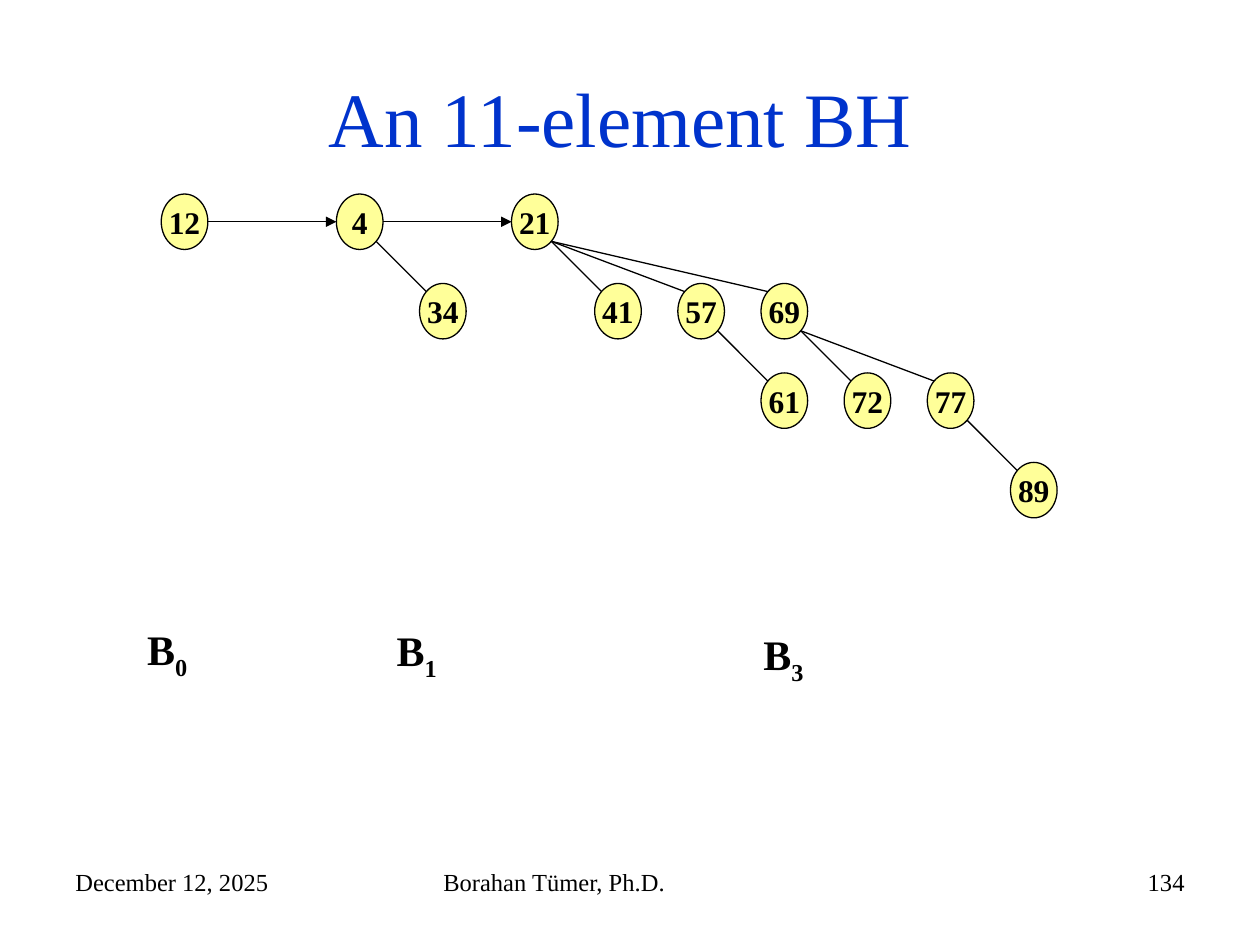
from lxml import etree
from pptx import Presentation
from pptx.dml.color import RGBColor
from pptx.enum import shapes, text
from pptx.oxml import ns
from pptx.util import Inches, Pt

BLACK = RGBColor(0x00, 0x00, 0x00)
BLUE = RGBColor(0x00, 0x33, 0xCC)
YELLOW = RGBColor(0xFF, 0xFF, 0x99)
FONT = "Times New Roman"
LEFT, CENTER, RIGHT = (text.PP_ALIGN.LEFT, text.PP_ALIGN.CENTER,
                       text.PP_ALIGN.RIGHT)

NODE_W, NODE_H = 0.37, 0.44
STEP_X, STEP_Y = 0.66, 0.71
DIAG = 0.5 ** 0.5 / 2  # offset of an oval's diagonal point, as a share of its size

# Each tree is (key, children).
B0 = (12, [])
B1 = (4, [(34, [])])
B3 = (21, [(41, []), (57, [(61, [])]), (69, [(72, []), (77, [(89, [])])])])


def add_run(par, words, size, color=BLACK, bold=False):
    run = par.add_run()
    run.text = words
    run.font.name = FONT
    run.font.size = Pt(size)
    run.font.bold = bold
    run.font.color.rgb = color
    return run


def add_text(slide, box, words, size, align=LEFT, color=BLACK,
             anchor=text.MSO_ANCHOR.TOP):
    frame = slide.shapes.add_textbox(*map(Inches, box)).text_frame
    frame.word_wrap = True
    frame.vertical_anchor = anchor
    par = frame.paragraphs[0]
    par.alignment = align
    add_run(par, words, size, color)


def add_label(slide, box, order):
    frame = slide.shapes.add_textbox(*map(Inches, box)).text_frame
    frame.word_wrap = False
    par = frame.paragraphs[0]
    add_run(par, "B", 24, bold=True)
    sub = add_run(par, order, 24, bold=True)
    sub.font._element.set("baseline", "-25000")


def add_line(slide, start, end, arrow=False):
    line = slide.shapes.add_connector(
        shapes.MSO_CONNECTOR.STRAIGHT, *map(Inches, start + end))
    line.line.color.rgb = BLACK
    line.line.width = Pt(0.75)
    if arrow:
        etree.SubElement(line.line._get_or_add_ln(), ns.qn("a:tailEnd"),
                         type="triangle")
    etree.SubElement(line._element.spPr, ns.qn("a:effectLst"))


def add_node(slide, x, y, key):
    oval = slide.shapes.add_shape(
        shapes.MSO_SHAPE.OVAL, *map(Inches, (x, y, NODE_W, NODE_H)))
    oval.shadow.inherit = False
    oval.fill.solid()
    oval.fill.fore_color.rgb = YELLOW
    oval.line.color.rgb = BLACK
    oval.line.width = Pt(0.75)
    frame = oval.text_frame
    frame.word_wrap = False
    frame.vertical_anchor = text.MSO_ANCHOR.MIDDLE
    par = frame.paragraphs[0]
    par.alignment = CENTER
    add_run(par, str(key), 18, bold=True)


def corner(x, y, side):
    """Point on a node's rim: side -1 is upper left, 1 is lower right."""
    return (x + NODE_W * (0.5 + side * DIAG), y + NODE_H * (0.5 + side * DIAG))


def add_tree(slide, x, y, tree):
    """Draw a tree; each child goes one row down and one more column right."""
    key, kids = tree
    add_node(slide, x, y, key)
    for col, kid in enumerate(kids, 1):
        kid_x, kid_y = x + col * STEP_X, y + STEP_Y
        add_tree(slide, kid_x, kid_y, kid)
        add_line(slide, corner(x, y, 1), corner(kid_x, kid_y, -1))


def add_heap(slide, x, y):
    gap = 1.39
    mid = y + NODE_H / 2
    for i, tree in enumerate((B0, B1, B3)):
        root = x + i * gap
        add_tree(slide, root, y, tree)
        if i:
            add_line(slide, (root - gap + NODE_W, mid), (root, mid), arrow=True)


def add_footer(slide, y, h):
    add_text(slide, (0.5, y, 2.33, h), "December 12, 2025", 14)
    add_text(slide, (3.42, y, 3.17, h), "Borahan Tümer, Ph.D.", 14)
    add_text(slide, (7.17, y, 2.33, h), "134", 14, RIGHT)


def main():
    deck = Presentation()
    deck.slide_width, deck.slide_height = Inches(10), Inches(7.5)
    slide = deck.slides.add_slide(deck.slide_layouts[6])
    add_footer(slide, 6.83, 0.52)
    add_text(slide, (0.5, 0.3, 9, 1.25), "An 11-element BH ", 44, CENTER, BLUE,
             text.MSO_ANCHOR.MIDDLE)
    add_heap(slide, 1.28, 1.54)
    for x, y, order in ((1.07, 4.9, "0"), (3.05, 4.91, "1"), (5.96, 4.94, "3")):
        add_label(slide, (x, y, 0.53, 0.5), order)
    deck.save("out.pptx")


if __name__ == "__main__":
    main()
